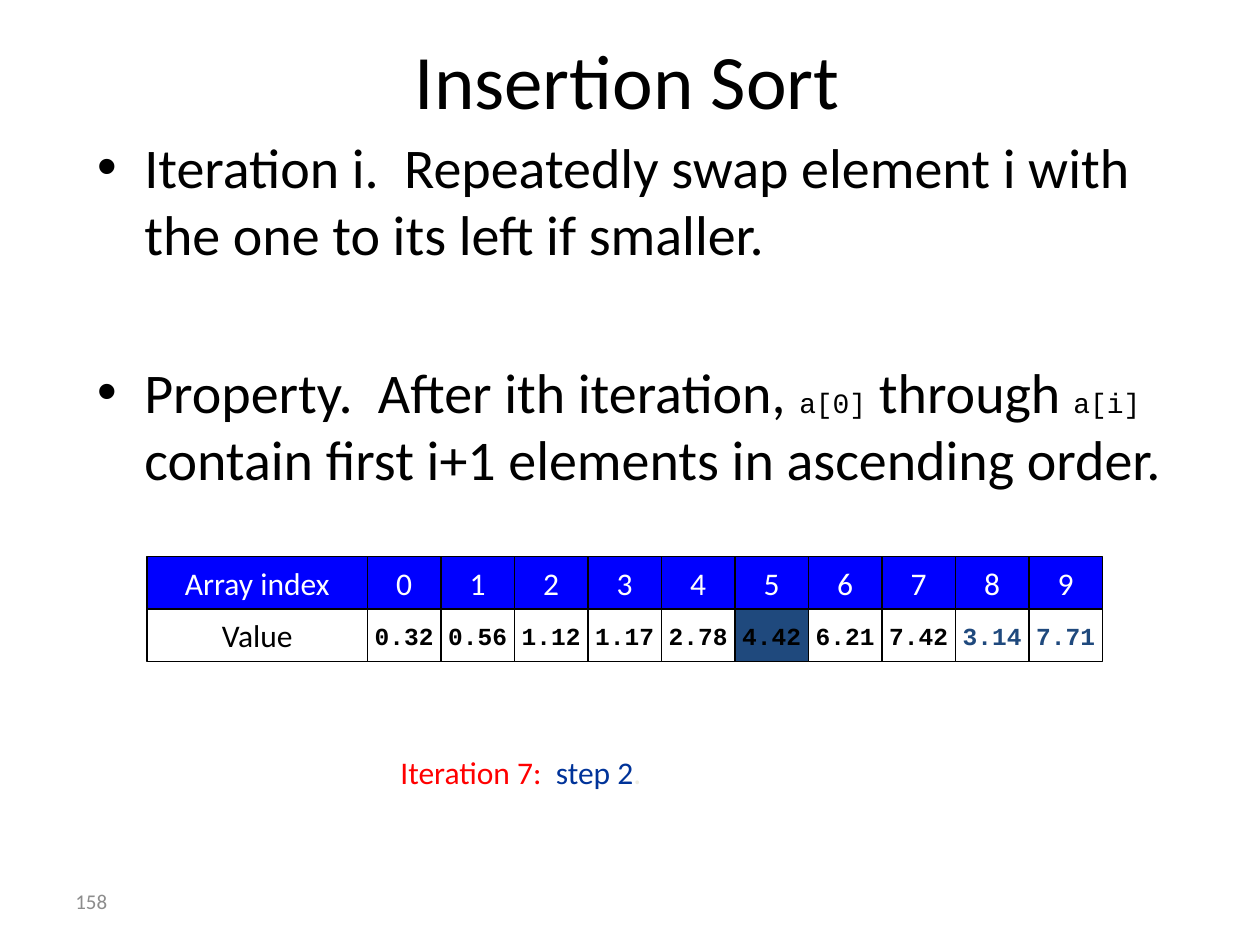
from dataclasses import dataclass

from pptx import Presentation
from pptx import util as u
from pptx.dml.color import RGBColor
from pptx.enum import shapes, text

SANS, MONO = "Calibri", "Courier New"
BLACK, WHITE, BLUE, NAVY = "000000", "FFFFFF", "0000FF", "1F497D"
MODULE = 1 / 12  # inches
COL, ROW = 7 * MODULE, 5 * MODULE
GRID_LEFT, GRID_TOP = 2 * COL, 53 * MODULE
LABEL_COLS = 3
VALUES = ["0.32", "0.56", "1.12", "1.17", "2.78",
          "4.42", "6.21", "7.42", "3.14", "7.71"]
CURRENT, FIRST_UNSORTED = 5, 8


@dataclass
class Cell:
    label: str
    col: int
    row: int
    cols: int = 1
    fill: str = WHITE
    color: str = BLACK
    size: int = 18
    font: str = SANS
    bold: bool = False


def rgb(value: str) -> RGBColor:
    return RGBColor.from_string(value)


def add_run(p, content: str, size=18, color=BLACK, font=SANS, bold=False):
    r = p.add_run()
    r.text = content
    r.font.size = u.Pt(size)
    r.font.name = font
    r.font.bold = bold
    r.font.color.rgb = rgb(color)


def place(sp, left: float, top: float, width: float, height: float) -> None:
    sp.left, sp.top, sp.width, sp.height = map(
        u.Inches, (left, top, width, height))


def add_label(s, left: float, top: float, width: float, height: float):
    """Add an empty text box and return its text frame."""
    tf = s.shapes.add_textbox(
        *map(u.Inches, (left, top, width, height))).text_frame
    tf.word_wrap = True
    return tf


def draw_cell(s, cell: Cell) -> None:
    sp = s.shapes.add_shape(
        shapes.MSO_SHAPE.RECTANGLE,
        u.Inches(GRID_LEFT + cell.col * COL),
        u.Inches(GRID_TOP + cell.row * ROW),
        u.Inches(cell.cols * COL), u.Inches(ROW))
    sp.shadow.inherit = False
    sp.fill.solid()
    sp.fill.fore_color.rgb = rgb(cell.fill)
    sp.line.color.rgb = rgb(BLACK)
    sp.line.width = u.Pt(0.75)
    tf = sp.text_frame
    tf.word_wrap = False
    tf.vertical_anchor = text.MSO_ANCHOR.MIDDLE
    p = tf.paragraphs[0]
    p.alignment = text.PP_ALIGN.CENTER
    add_run(p, cell.label, cell.size, cell.color, cell.font, cell.bold)


def array_cells() -> list[Cell]:
    cells = [Cell("Array index", 0, 0, LABEL_COLS, BLUE, WHITE),
             Cell("Value", 0, 1, LABEL_COLS)]
    for i, value in enumerate(VALUES):
        col = LABEL_COLS + i
        cells.append(Cell(str(i), col, 0, fill=BLUE, color=WHITE))
        cells.append(Cell(value, col, 1,
                          fill=NAVY if i == CURRENT else WHITE,
                          color=NAVY if i >= FIRST_UNSORTED else BLACK,
                          size=14, font=MONO, bold=True))
    return cells


def fill_title(sp) -> None:
    place(sp, 0.48, 0, 9, 1.25)
    sp.text_frame.vertical_anchor = text.MSO_ANCHOR.MIDDLE
    add_run(sp.text_frame.paragraphs[0], "Insertion Sort", 44)


def fill_body(sp) -> None:
    place(sp, 0.67, 1, 8.83, 5.92)
    tf = sp.text_frame
    tf.auto_size = text.MSO_AUTO_SIZE.NONE
    add_run(tf.paragraphs[0], "Iteration i.  Repeatedly swap element i with "
            "the one to its left if smaller.", 32)
    p = tf.add_paragraph()
    p.space_before = u.Pt(52)
    for content, is_code in [("Property.  After ith iteration, ", False),
                             ("a[0]", True), (" through ", False),
                             ("a[i]", True),
                             (" contain first i+1 elements in ascending order.",
                              False)]:
        add_run(p, content, 16 if is_code else 32,
                font=MONO if is_code else SANS)


def main() -> None:
    prs = Presentation()
    prs.slide_width, prs.slide_height = u.Inches(10), u.Inches(7.5)
    s = prs.slides.add_slide(prs.slide_layouts[1])
    fill_title(s.shapes.title)
    fill_body(s.placeholders[1])

    for cell in array_cells():
        draw_cell(s, cell)

    p = add_label(s, 3.08, 5.93, 4.08, 0.4).paragraphs[0]
    for content, color in [("Iteration 7:  ", "FF0000"),
                           ("step 2", "003399"), (".", "EEECE1")]:
        add_run(p, content, color=color)

    tf = add_label(s, 0.5, 6.95, 2.33, 0.4)
    tf.vertical_anchor = text.MSO_ANCHOR.MIDDLE
    add_run(tf.paragraphs[0], "158", 12, "8C8C8C")
    prs.save("out.pptx")


if __name__ == "__main__":
    main()
